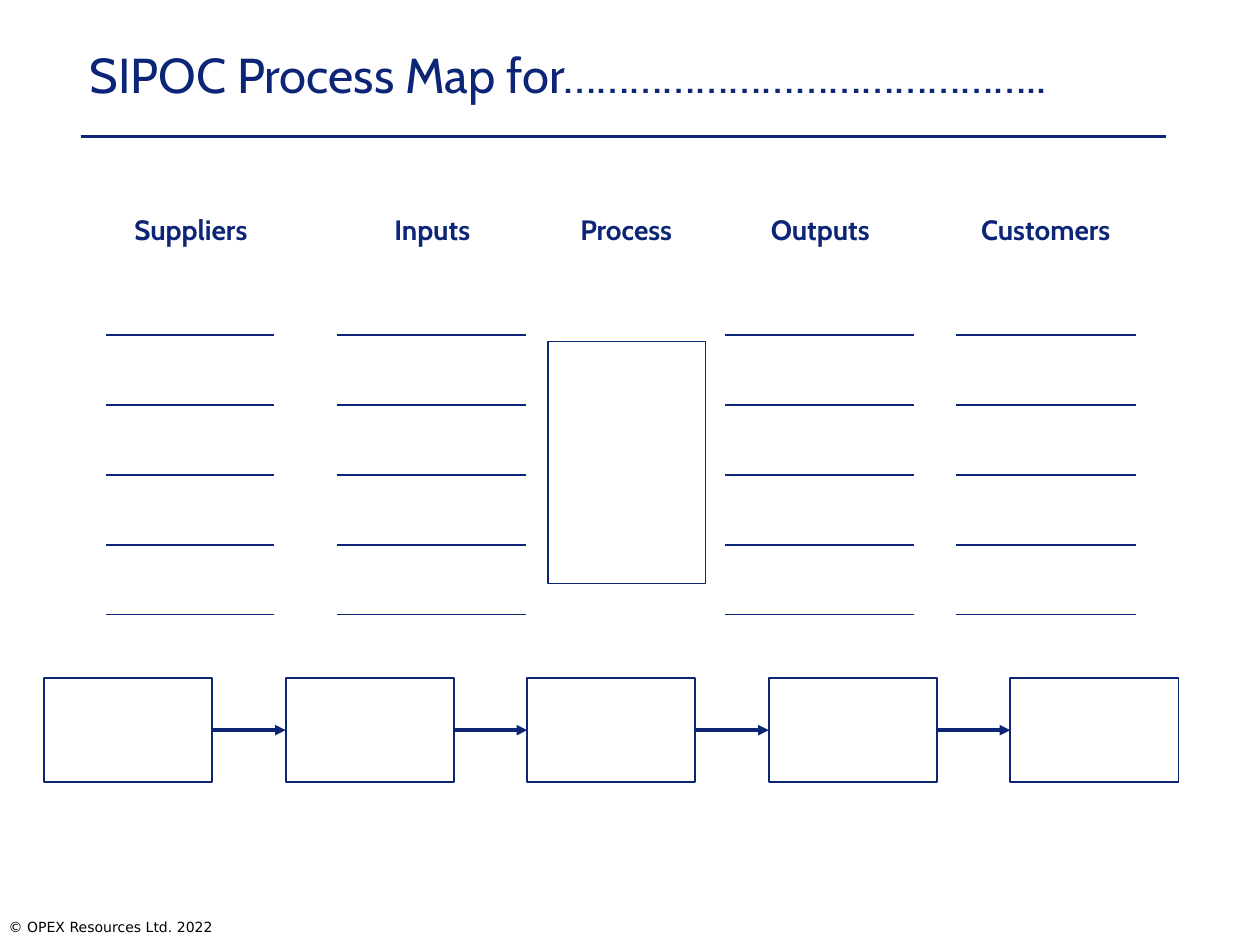
"""Build a blank SIPOC process map with a row of linked process steps."""
from itertools import product

from lxml.etree import SubElement as Sub
from pptx import Presentation
from pptx.dml.color import RGBColor as Rgb
from pptx.enum.shapes import MSO_CONNECTOR as Conn, MSO_SHAPE as Shape
from pptx.enum.text import MSO_ANCHOR as Anchor, PP_ALIGN as Align
from pptx.oxml import parse_xml
from pptx.oxml.ns import nsdecls, qn
from pptx.util import Inches as In, Pt

NAVY = Rgb(0x0C, 0x25, 0x77)
BLACK = Rgb(0, 0, 0)
WIDE, HIGH = 10, 7.5

TITLE = "SIPOC Process Map for…………………………………….."
CREDIT = "© OPEX Resources Ltd. 2022"
HEADS = ["Suppliers", "", "Inputs", "Process", "Outputs", "", "Customers"]
COLS = [1.33, 0.5, 1.5, 1.58, 1.5, 0.33, 1.42]
RULED = [0, 2, 4, 6]
ROWS, ROW = 8, 0.555
GRID = (0.85, 1.55)
PANEL = (4.35, 2.71, 1.25, 1.92)
STEPS, LEFT, TOP, PITCH = 5, 0.35, 5.38, 1.917
BOX = (1.335, 0.83)

HEAD = dict(name="Cabin", size=Pt(16), bold=True)
LARGE = dict(name="Cabin", size=Pt(28))
SMALL = dict(name="DejaVu Sans", size=Pt(8))


def style(par, text, form, color):
    par.text = text
    for key, val in form.items():
        setattr(par.font, key, val)
    par.font.color.rgb = color


def label(slide, at, text, form, color, pad):
    box = slide.shapes.add_textbox(*map(In, at))
    frame = box.text_frame
    frame.word_wrap = True
    sides = dict(zip(("left", "top", "right", "bottom"), pad))
    for side, val in sides.items():
        setattr(frame, "margin_" + side, In(val))
    style(frame.paragraphs[0], text, form, color)


def line(slide, ends, width, arrow=False):
    link = slide.shapes.add_connector(Conn.STRAIGHT, *map(In, ends))
    link.line.color.rgb = NAVY
    link.line.width = Pt(width)
    prop = link._element.spPr
    if arrow:
        Sub(prop.find(qn("a:ln")), qn("a:tailEnd"), type="triangle")
    Sub(prop, qn("a:effectLst"))


def frame(slide, at, width):
    box = slide.shapes.add_shape(Shape.RECTANGLE, *map(In, at))
    box.shadow.inherit = False
    box.fill.background()
    box.line.color.rgb = NAVY
    box.line.width = Pt(width)


def rule(cell, side):
    cell._tc.get_or_add_tcPr().insert(0, parse_xml(
        f'<a:ln{side} {nsdecls("a")} w="{Pt(1)}"><a:solidFill>'
        f'<a:srgbClr val="{NAVY}"/></a:solidFill></a:ln{side}>'))


def chart(slide):
    size = (sum(COLS), ROWS * ROW)
    table = slide.shapes.add_table(ROWS, len(COLS), *map(In, GRID + size)).table
    table.first_row = table.horz_banding = False
    for col, width in zip(table.columns, COLS):
        col.width = In(width)
    for row, col in product(range(ROWS), range(len(COLS))):
        cell = table.cell(row, col)
        cell.fill.background()
        if row == 0 and HEADS[col]:
            for side in ("left", "top", "right", "bottom"):
                setattr(cell, "margin_" + side, In(0.04))
            cell.vertical_anchor = Anchor.MIDDLE
            par = cell.text_frame.paragraphs[0]
            style(par, HEADS[col], HEAD, NAVY)
            par.alignment = Align.CENTER
        if col in RULED:
            if 1 <= row < ROWS - 2:
                rule(cell, "B")
            if 2 <= row < ROWS - 1:
                rule(cell, "T")


def flow(slide):
    wide, high = BOX
    for step in range(STEPS):
        left = LEFT + step * PITCH
        frame(slide, (left, TOP, wide, high), 1)
        if step:
            mid = TOP + high / 2
            line(slide, (left - PITCH + wide, mid, left, mid), 2, True)


def main():
    deck = Presentation()
    deck.slide_width, deck.slide_height = In(WIDE), In(HIGH)
    slide = deck.slides.add_slide(deck.slide_layouts[6])
    line(slide, (0.64, 1.08, 9.25, 1.08), 1.75)
    label(slide, (-0.03, 7.24, 6.77, 0.23), CREDIT, SMALL, BLACK,
          (0.1, 0.05, 0.1, 0.05))
    label(slide, (0.67, 0.31, 8.71, 0.55), TITLE, LARGE, NAVY, [0.04] * 4)
    chart(slide)
    frame(slide, PANEL, 0.75)
    flow(slide)
    deck.save("out.pptx")


if __name__ == "__main__":
    main()
